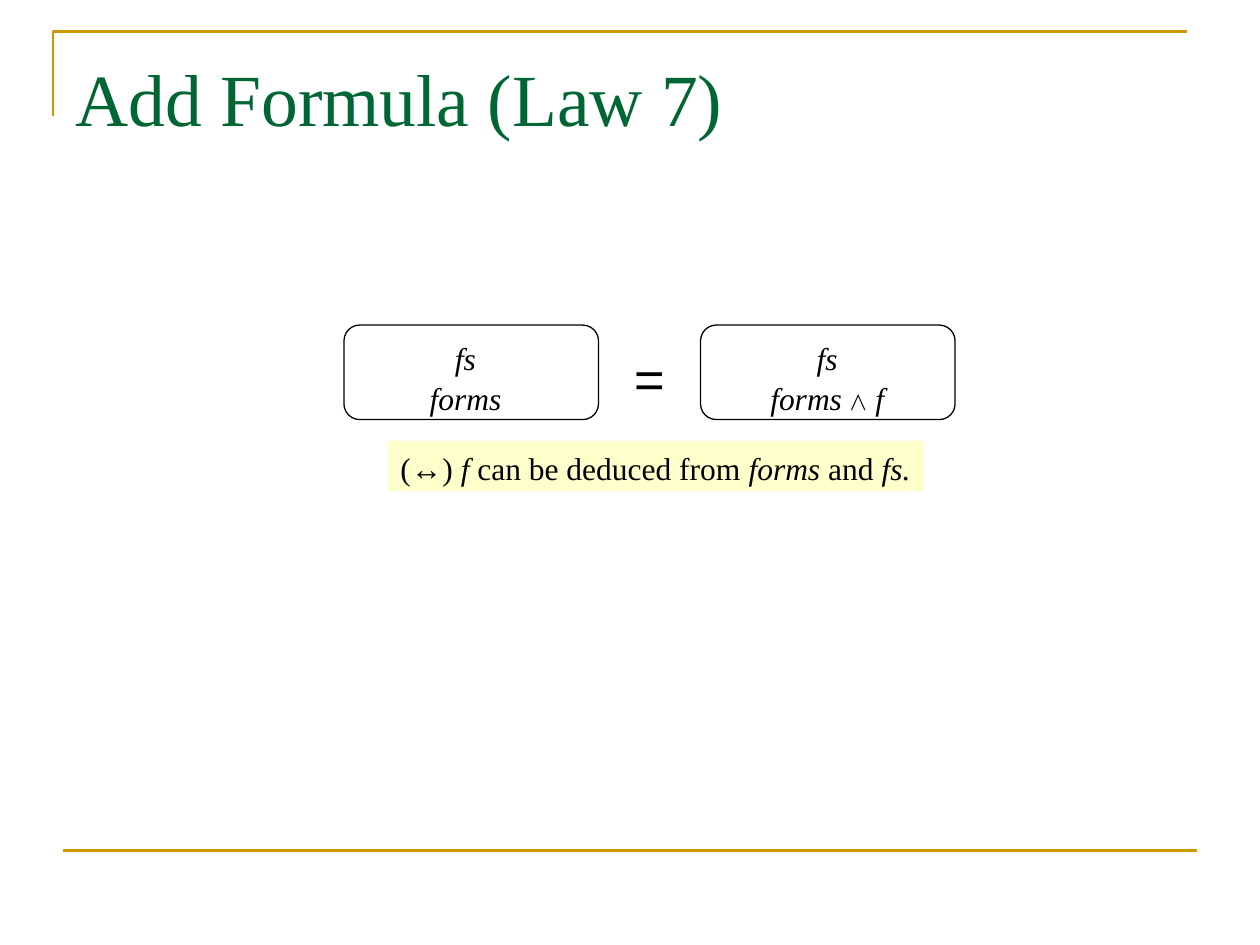
from pptx import Presentation
from pptx.dml.color import RGBColor
from pptx.enum.shapes import MSO_CONNECTOR as CONNECTOR, MSO_SHAPE as SHAPE
from pptx.enum.text import MSO_ANCHOR as ANCHOR, MSO_AUTO_SIZE as AUTO_SIZE, PP_ALIGN as ALIGN
from pptx.util import Inches, Pt
from lxml.etree import SubElement
from pptx.oxml.ns import qn

GOLD = RGBColor(0xCC, 0x99, 0x00)
GREEN = RGBColor(0x00, 0x66, 0x33)
BLACK = RGBColor(0x00, 0x00, 0x00)
CREAM = RGBColor(0xFF, 0xFF, 0xCC)
SERIF, MONO, SANS = "Times New Roman", "Courier New", "Arial"

ROMAN = (SERIF, 18, False)
ITALIC = (SERIF, 18, True)

TITLE = [[("Add Formula (Law 7)", (SERIF, 42, False))]]
EQUALS = [[("=", (MONO, 30, False))]]
PROVISO = [[("(↔) ", ROMAN), ("f", ITALIC), (" can be deduced from ", ROMAN),
            ("forms", ITALIC), (" and ", ROMAN), ("fs.", ITALIC)]]
SIDES = [
    (2.73, (3.31, 0.77), [[("fs", ITALIC)], [("forms", ITALIC)]]),
    (5.56, (5.99, 1.15), [[("fs", ITALIC)],
                          [("forms ", ITALIC), ("⋀", (MONO, 16, False)),
                           (" ", (SANS, 18, False)), ("f", ITALIC)]]),
]
SIDE_TOP, SIDE_WIDTH, SIDE_HEIGHT = 2.58, 2.02, 0.75


def write(frame, lines, color=BLACK, align=ALIGN.LEFT, spacing=1.05, wrap=True):
    frame.word_wrap = wrap
    frame.auto_size = AUTO_SIZE.NONE
    frame.vertical_anchor = ANCHOR.TOP
    for number, line in enumerate(lines):
        paragraph = frame.paragraphs[0] if number == 0 else frame.add_paragraph()
        paragraph.alignment = align
        paragraph.line_spacing = spacing
        for words, (face, size, italic) in line:
            run = paragraph.add_run()
            run.text = words
            run.font.name = face
            run.font.size = Pt(size)
            run.font.italic = italic
            run.font.color.rgb = color


def add_box(slide, kind, left, top, width, height):
    box = slide.shapes.add_shape(kind, Inches(left), Inches(top), Inches(width), Inches(height))
    box.shadow.inherit = False
    return box


def add_label(slide, left, top, width, height, lines, align=ALIGN.LEFT, spacing=1.05):
    label = slide.shapes.add_textbox(Inches(left), Inches(top), Inches(width), Inches(height))
    write(label.text_frame, lines, align=align, spacing=spacing, wrap=False)


def add_frame_lines(slide):
    builder = slide.shapes.build_freeform(Inches(0.42), Inches(0.92))
    builder.add_line_segments([(Inches(0.42), Inches(0.25)), (Inches(9.42), Inches(0.25))], close=False)
    corner = builder.convert_to_shape()
    corner.shadow.inherit = False
    corner.fill.background()
    footer = slide.shapes.add_connector(
        CONNECTOR.STRAIGHT, Inches(0.5), Inches(6.75), Inches(9.5), Inches(6.75))
    SubElement(footer._element.spPr, qn("a:effectLst"))
    for rule in (corner, footer):
        rule.line.color.rgb = GOLD
        rule.line.width = Pt(1.5)


def main():
    deck = Presentation()
    deck.slide_width, deck.slide_height = Inches(10), Inches(7.5)
    slide = deck.slides.add_slide(deck.slide_layouts[5])

    add_frame_lines(slide)

    title = slide.shapes.title
    title.left, title.top = Inches(0.5), Inches(0.3)
    title.width, title.height = Inches(9), Inches(1.25)
    write(title.text_frame, TITLE, color=GREEN, spacing=1.1)

    for left, (text_left, text_width), lines in SIDES:
        add_label(slide, text_left, SIDE_TOP + 0.05, text_width, 0.7, lines, align=ALIGN.CENTER)
        side = add_box(slide, SHAPE.ROUNDED_RECTANGLE, left, SIDE_TOP, SIDE_WIDTH, SIDE_HEIGHT)
        side.fill.background()
        side.line.color.rgb = BLACK
        side.line.width = Pt(0.75)

    proviso = add_box(slide, SHAPE.RECTANGLE, 3.08, 3.5, 4.25, 0.4)
    proviso.fill.solid()
    proviso.fill.fore_color.rgb = CREAM
    proviso.line.fill.background()
    write(proviso.text_frame, PROVISO)

    add_label(slide, 4.93, 2.67, 0.44, 0.6, EQUALS)
    deck.save("out.pptx")


if __name__ == "__main__":
    main()
